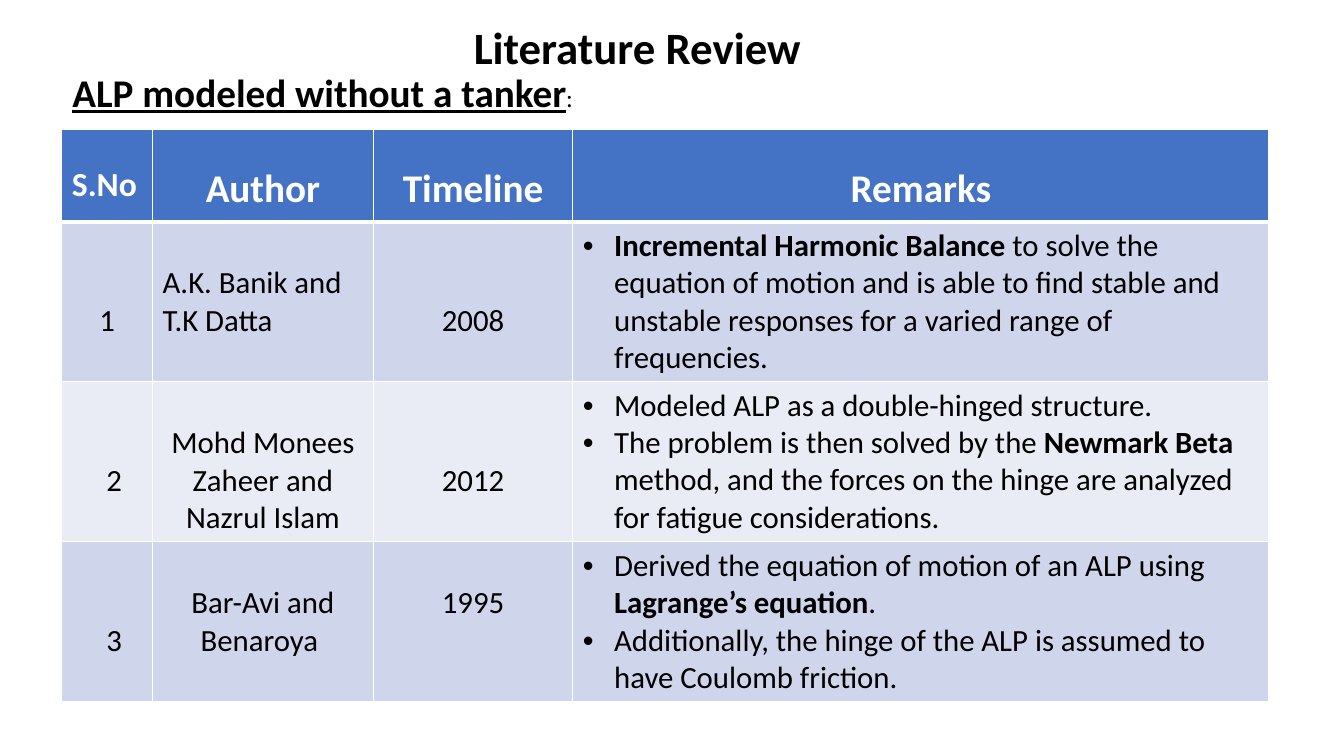
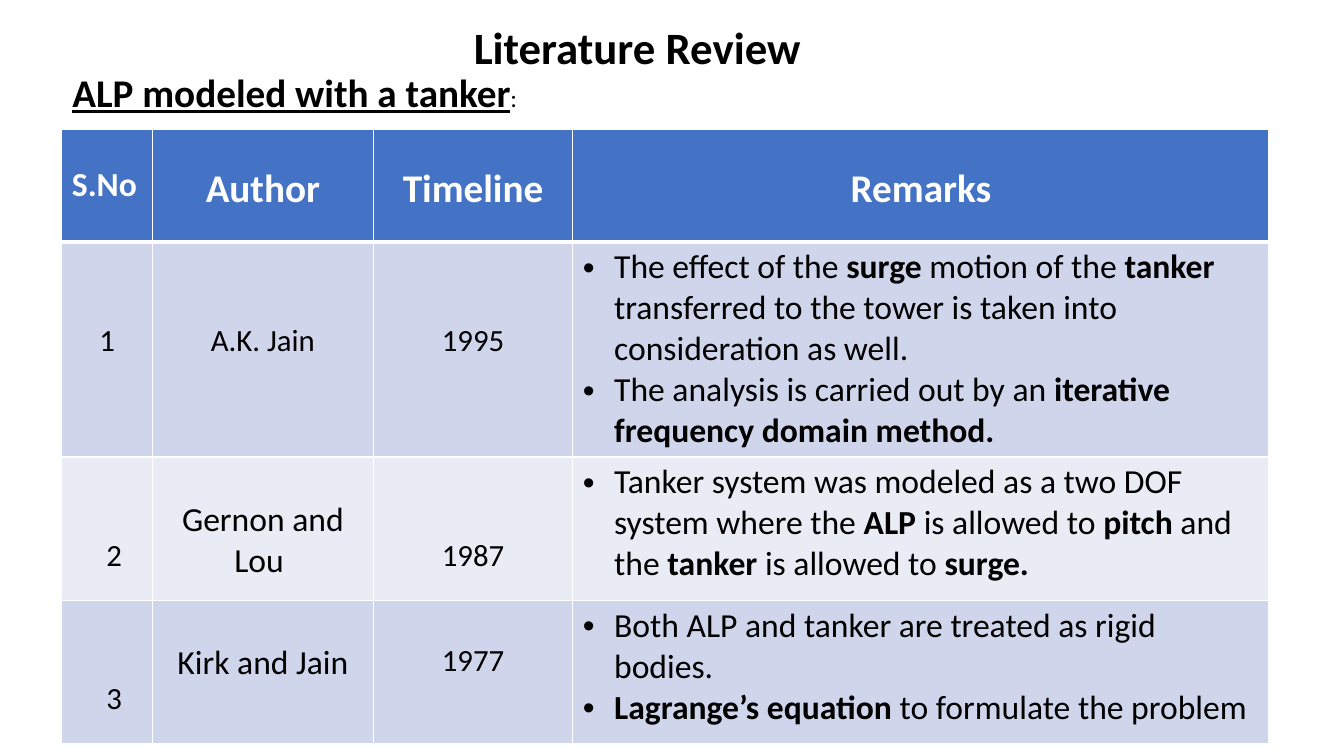
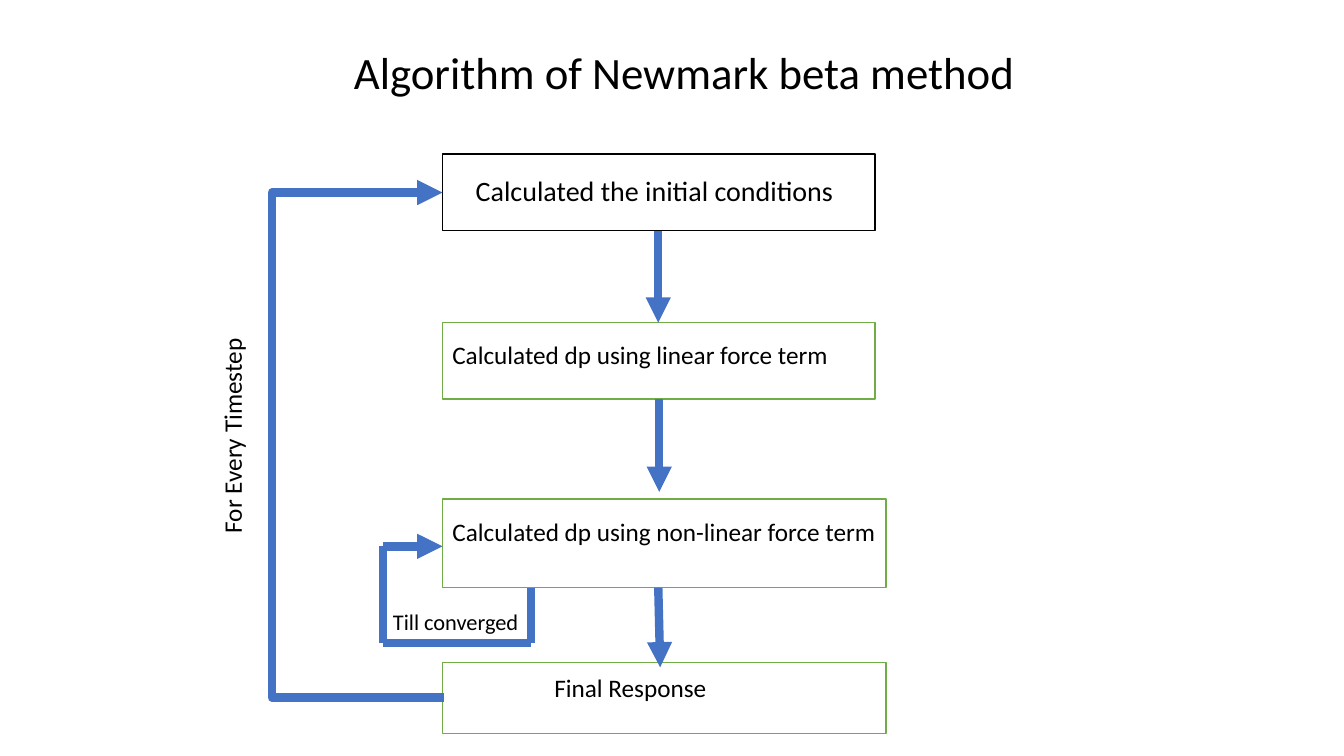
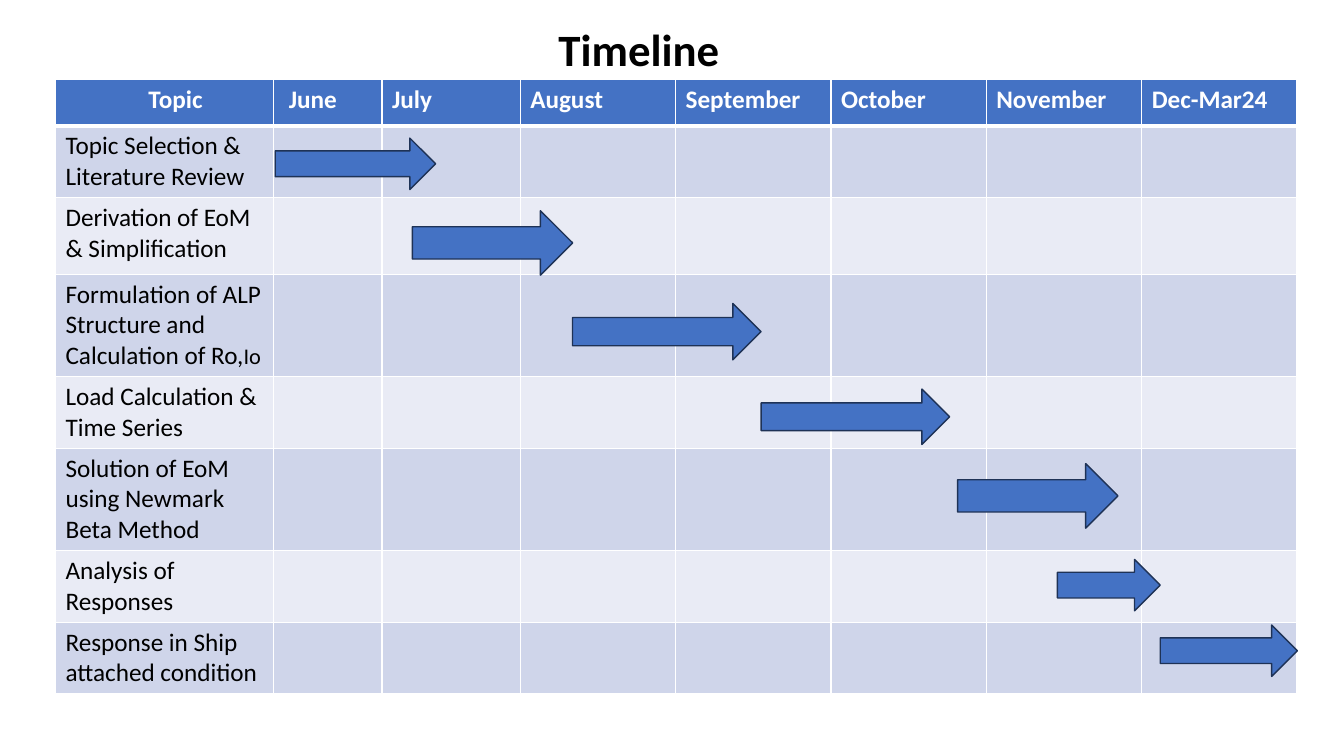
from lxml import etree
from pptx import Presentation
from pptx.dml.color import RGBColor
from pptx.enum.shapes import MSO_CONNECTOR, MSO_SHAPE
from pptx.enum.text import MSO_ANCHOR, PP_ALIGN
from pptx.oxml.ns import qn
from pptx.util import Inches, Pt

LEFT, CENTER = PP_ALIGN.LEFT, PP_ALIGN.CENTER
TOP = MSO_ANCHOR.TOP
RECTANGLE, ARROW = MSO_SHAPE.RECTANGLE, MSO_SHAPE.RIGHT_ARROW
STRAIGHT, ELBOW = MSO_CONNECTOR.STRAIGHT, MSO_CONNECTOR.ELBOW
FONT = "Calibri"
LINE_SPACING = 1.22
CELL_TOP, CELL_LEFT = 3.6, 7.2
COLOURS = {
    name: RGBColor.from_string(value)
    for name, value in {
        "ink": "000000", "paper": "FFFFFF", "blue": "4472C4", "navy": "1E3256",
        "green": "70AD47", "odd": "CFD5EA", "even": "E9EBF5",
    }.items()
}

deck = Presentation()
deck.slide_width, deck.slide_height = Inches(13.33), Inches(7.5)
COLUMN, ROW = deck.slide_width / 100, deck.slide_height / 100


def grid(left, top, width, height):
    """Turn percentages of the slide's width and height into lengths."""
    return int(left * COLUMN), int(top * ROW), int(width * COLUMN), int(height * ROW)


def write(frame, text, size, align=LEFT, colour="ink", bold=False, bullets=False):
    """Fill a frame, one paragraph a line; *starred* words are bold."""
    frame.word_wrap = True
    for number, line in enumerate(text.split("\n")):
        para = frame.add_paragraph() if number else frame.paragraphs[0]
        para.alignment = align
        if bullets:
            props = para._p.get_or_add_pPr()
            props.set("marL", str(Inches(0.31)))
            props.set("indent", str(-Inches(0.31)))
            etree.SubElement(props, qn("a:buFont"), typeface="Arial")
            etree.SubElement(props, qn("a:buChar"), char="•")
        for part, words in enumerate(line.split("*")):
            if not words:
                continue
            span = para.add_run()
            span.text = words
            look = {"name": FONT, "size": Pt(size), "bold": bold or part % 2 == 1}
            for name, value in look.items():
                setattr(span.font, name, value)
            span.font.color.rgb = COLOURS[colour]


# Pages and titles
TITLES = [
    ("Literature Review", (34.5, 2, 54.15, 8.53), True),
    ("Literature Review", (34.5, 2, 54.15, 8.53), True),
    ("Algorithm of Newmark beta method", (25.58, 5.2, 56.7, 8.53), False),
    ("Timeline", (40.8, 2.27, 46.65, 8.53), True),
]
pages = []
for text, area, bold in TITLES:
    page = deck.slides.add_slide(deck.slide_layouts[5])
    title = page.shapes.title
    title.left, title.top, title.width, title.height = grid(*area)
    title.text_frame.vertical_anchor = TOP
    write(title.text_frame, text, 32, bold=bold)
    pages.append(page)
tables = []

# Literature reviews: a cell is text, size, lines left free above it, alignment
HEADINGS = [("S.No", 24, LEFT), ("Author", 28, CENTER),
            ("Timeline", 28, CENTER), ("Remarks", 28, CENTER)]
REVIEW_COLUMNS = [6.75, 16.43, 14.85, 51.8]
REVIEWS = [
    ("ALP modeled without a tanker", 22, [12.27, 20.9, 20.9, 20.9], [
        [("A.K. Banik and T.K Datta", 22, 1, LEFT), ("2008", 22, 2, CENTER),
         "*Incremental Harmonic Balance *to solve the equation of motion and is able "
         "to find stable and unstable responses for a varied range of frequencies."],
        [("Mohd Monees Zaheer and Nazrul Islam", 22, 1, CENTER), ("2012", 22, 2, CENTER),
         "Modeled ALP as a double-hinged structure.\n"
         "The problem is then solved by the *Newmark Beta *method, and the forces on "
         "the hinge are analyzed for fatigue considerations."],
        [("Bar-Avi and Benaroya ", 22, 1, CENTER), ("1995", 22, 1, CENTER),
         "Derived the equation of motion of an ALP using *Lagrange’s equation*.\n"
         "Additionally, the hinge of the ALP is assumed to have Coulomb friction."],
    ]),
    ("ALP modeled with a tanker", 24, [14.93, 28, 18.93, 18.93], [
        [("A.K. Jain", 22, 2, CENTER), ("1995", 22, 2, CENTER),
         "The effect of the *surge *motion of the *tanker *transferred to the tower "
         "is taken into consideration as well.\n"
         "The analysis is carried out by an *iterative frequency domain method.*"],
        [("Gernon and Lou ", 24, 1, CENTER), ("1987", 22, 2, CENTER),
         "Tanker system was modeled as a two DOF system where the *ALP* is allowed to "
         "*pitch* and the *tanker* is allowed to *surge.*"],
        [("Kirk and Jain", 24, 1, CENTER), ("1977", 22, 1, CENTER),
         "Both ALP and tanker are treated as rigid bodies.\n"
         "*Lagrange’s equation *to formulate the problem"],
    ]),
]
for page, (subject, remark_size, heights, studies) in zip(pages, REVIEWS):
    area = grid(4.6, 17.07, sum(REVIEW_COLUMNS), sum(heights))
    table = page.shapes.add_table(len(heights), len(REVIEW_COLUMNS), *area).table
    tables.append((table, REVIEW_COLUMNS, heights))
    for column, (text, size, align) in enumerate(HEADINGS):
        cell = table.cell(0, column)
        cell.margin_top = Pt(CELL_TOP + 18 * LINE_SPACING)
        write(cell.text_frame, text, size, align, "paper", True)
    for number, (*facts, remark) in enumerate(studies, 1):
        facts.insert(0, (str(number), 22, 2, CENTER))
        for column, (text, size, free_lines, align) in enumerate(facts):
            cell = table.cell(number, column)
            cell.margin_top = Pt(CELL_TOP + free_lines * 22 * LINE_SPACING)
            write(cell.text_frame, text, size, align)
        if number > 1:
            table.cell(number, 0).margin_left = Pt(CELL_LEFT + 10)
        write(table.cell(number, 3).text_frame, remark, remark_size, bullets=True)

    box = page.shapes.add_textbox(*grid(4.65, 8.4, 50, 7.6))
    write(box.text_frame, f"*{subject}*:", 28)
    heading, colon = box.text_frame.paragraphs[0].runs
    heading.font.underline = True
    colon.font.size = Pt(18)

# Flow chart: a step is text, size, top, width, height, line, left and top inset
page = pages[2]
STEP_LEFT = 32.92
STEPS = [
    ("Calculated the initial conditions", 20, 20.4, 32.18, 10.13, "ink", 0.33, 0.19),
    ("Calculated dp using linear force term", 18, 42.67, 32.18, 10.13, "green", 0.1, 0.17),
    ("Calculated dp using non-linear force term", 18, 66, 33, 11.73, "green", 0.1, 0.17),
    ("Final Response", 18, 87.6, 33, 9.47, "green", 1.11, 0.1),
]
for text, size, top, width, height, line, inset_left, inset_top in STEPS:
    step = page.shapes.add_shape(RECTANGLE, *grid(STEP_LEFT, top, width, height))
    step.shadow.inherit = False
    step.fill.solid()
    step.fill.fore_color.rgb = COLOURS["paper"]
    step.line.color.rgb = COLOURS[line]
    step.line.width = Pt(1)
    frame = step.text_frame
    insets = {"margin_left": Inches(inset_left), "margin_top": Inches(inset_top),
              "margin_right": 0, "margin_bottom": 0, "vertical_anchor": TOP}
    for name, value in insets.items():
        setattr(frame, name, value)
    write(frame, text, size)

LOOP_LEFT, LOOP_RIGHT, LOOP_TOP, LOOP_BOTTOM = 28.5, 39.52, 72.27, 85.07
OUTER_LEFT, OUTER_RIGHT = 20.18, 33
LINKS = [
    (STRAIGHT, (48.98, 30.53, 48.98, 42.67), True),
    (STRAIGHT, (49.05, 52.8, 49.05, 65.07), True),
    (STRAIGHT, (48.98, 77.73, 49.12, 88.27), True),
    (STRAIGHT, (LOOP_RIGHT, 77.73, LOOP_RIGHT, LOOP_BOTTOM), False),
    (STRAIGHT, (LOOP_RIGHT, LOOP_BOTTOM, LOOP_LEFT, LOOP_BOTTOM), False),
    (STRAIGHT, (LOOP_LEFT, LOOP_BOTTOM, LOOP_LEFT, LOOP_TOP), False),
    (STRAIGHT, (LOOP_LEFT, LOOP_TOP, STEP_LEFT, LOOP_TOP), True),
    (ELBOW, (STEP_LEFT, 25.47, OUTER_RIGHT, 92.27), True),
]
for kind, ends, has_head in LINKS:
    link = page.shapes.add_connector(kind, *grid(*ends))
    link.line.color.rgb = COLOURS["blue"]
    link.line.width = Pt(6)
    props = link._element.spPr
    if has_head:
        etree.SubElement(props.find(qn("a:ln")), qn("a:tailEnd"), type="triangle")
    etree.SubElement(props, qn("a:effectLst"))
    if kind == ELBOW:
        # Half a turn makes the link start at the bottom and bend out to the left
        props.find(qn("a:xfrm")).set("rot", "10800000")
        bend = (OUTER_RIGHT - OUTER_LEFT) / (OUTER_RIGHT - STEP_LEFT)
        geometry = props.find(qn("a:prstGeom"))
        guides = geometry.find(qn("a:avLst"))
        if guides is None:
            guides = etree.SubElement(geometry, qn("a:avLst"))
        etree.SubElement(guides, qn("a:gd"), name="adj1", fmla=f"val {round(bend * 100000)}")

LABELS = [
    ("For Every Timestep", 18, (6.9, 50.8, 20.7, 5.33), 270),
    ("Till converged", 16, (28.5, 79.73, 12.53, 5.33), 0),
]
for text, size, area, turn in LABELS:
    box = page.shapes.add_textbox(*grid(*area))
    box.rotation = turn
    write(box.text_frame, text, size)

# Timeline: a task is its name and the left, top, width and height of its arrow
page = pages[3]
MONTHS = ["Topic", "June", "July", "August", "September", "October", "November", "Dec-Mar24"]
MONTH_COLUMNS = [16.2, 8.1, 10.28] + [11.56] * 5
TASK_ROWS = [6.13, 9.47, 10.13, 13.47, 9.47, 13.47, 9.47, 9.47]
TASKS = [
    ("Topic Selection & Literature Review", (20.48, 18.27, 11.93, 6.8)),
    ("Derivation of EoM & Simplification", (30.68, 27.87, 11.93, 8.53)),
    ("Formulation of ALP Structure and Calculation of Ro,*Io*", (42.6, 40.13, 14.03, 7.47)),
    ("Load Calculation & Time Series", (56.63, 51.47, 14.03, 7.33)),
    ("Solution of EoM using Newmark Beta Method", (71.25, 61.33, 11.93, 8.53)),
    ("Analysis of Responses", (78.68, 74, 7.65, 6.8)),
    ("Response in Ship attached condition", (86.33, 82.67, 10.2, 6.8)),
]
area = grid(4.13, 10.53, sum(MONTH_COLUMNS), sum(TASK_ROWS))
table = page.shapes.add_table(len(TASK_ROWS), len(MONTH_COLUMNS), *area).table
tables.append((table, MONTH_COLUMNS, TASK_ROWS))
for column, month in enumerate(MONTHS):
    align = LEFT if column else CENTER
    write(table.cell(0, column).text_frame, month, 18, align, "paper", True)
table.cell(0, 0).margin_left = Pt(CELL_LEFT + 16)
table.cell(0, 1).margin_left = Pt(CELL_LEFT + 4)
for number, (task, area) in enumerate(TASKS, 1):
    write(table.cell(number, 0).text_frame, task, 18)
    arrow = page.shapes.add_shape(ARROW, *grid(*area))
    arrow.shadow.inherit = False
    arrow.fill.solid()
    arrow.fill.fore_color.rgb = COLOURS["blue"]
    arrow.line.color.rgb = COLOURS["navy"]
    arrow.line.width = Pt(1)
symbol = table.cell(3, 0).text_frame.paragraphs[0].runs[-1]
symbol.font.size, symbol.font.bold = Pt(16), False

# Sizes, borders and fills of every table
for table, widths, heights in tables:
    for column, width in zip(table.columns, widths):
        column.width = int(width * COLUMN)
    for number, (row, height) in enumerate(zip(table.rows, heights)):
        row.height = int(height * ROW)
        fill = "blue" if number == 0 else "odd" if number % 2 else "even"
        borders = {"a:lnL": 1, "a:lnR": 1,
                   "a:lnT": 3 if number == 1 else 1, "a:lnB": 3 if number == 0 else 1}
        for cell in row.cells:
            for side, weight in borders.items():
                border = etree.SubElement(cell._tc.get_or_add_tcPr(), qn(side), w=str(Pt(weight)))
                paint = etree.SubElement(border, qn("a:solidFill"))
                etree.SubElement(paint, qn("a:srgbClr"), val=str(COLOURS["paper"]))
            cell.fill.solid()
            cell.fill.fore_color.rgb = COLOURS[fill]

deck.save("out.pptx")
